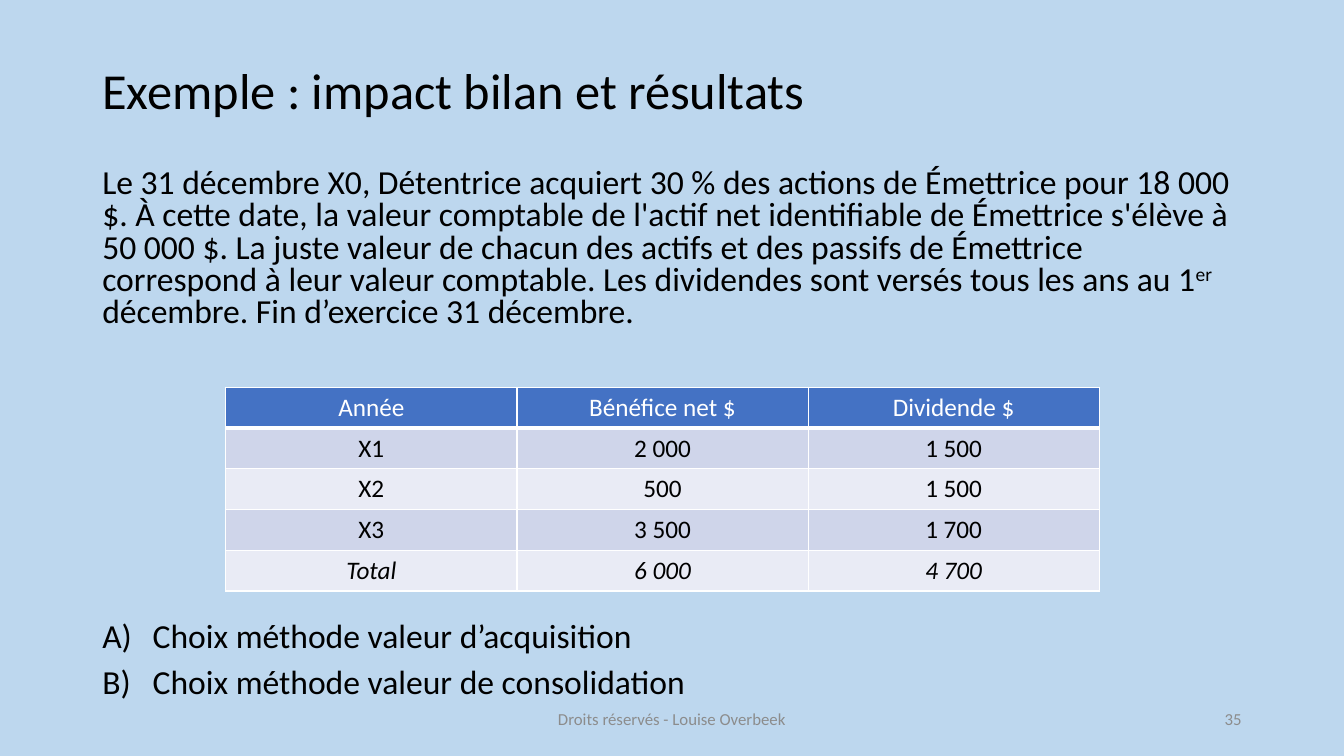
from lxml import etree
from pptx import Presentation
from pptx.dml.color import RGBColor
from pptx.enum.text import MSO_ANCHOR, PP_ALIGN
from pptx.oxml.ns import qn
from pptx.util import Pt

PX = 9525
LEFT, MID, RIGHT = PP_ALIGN.LEFT, PP_ALIGN.CENTER, PP_ALIGN.RIGHT
TOP, CENTER = MSO_ANCHOR.TOP, MSO_ANCHOR.MIDDLE
FONT = "Calibri"
BLACK, WHITE, GREY = "000000", "FFFFFF", "8C8C8C"
SKY, BLUE, BANDS = "BDD7EE", "4472C4", ("E9EBF5", "CFD5EA")

INTRO = (
    "Le 31 décembre X0, Détentrice acquiert 30 % des actions de Émettrice "
    "pour 18 000 $. À cette date, la valeur comptable de l'actif net "
    "identifiable de Émettrice s'élève à 50 000 $. La juste valeur de chacun "
    "des actifs et des passifs de Émettrice correspond à leur valeur "
    "comptable. Les dividendes sont versés tous les ans au 1"
)
ROWS = [
    ("Année", "Bénéfice net $", "Dividende $"),
    ("X1", "2 000", "1 500"),
    ("X2", "500", "1 500"),
    ("X3", "3 500", "1 700"),
    ("Total", "6 000", "4 700"),
]
CHOICES = [
    "Choix méthode valeur d’acquisition",
    "Choix méthode valeur de consolidation",
]


def color(code):
    return RGBColor.from_string(code)


def add_run(para, text, size, ink=BLACK):
    run = para.add_run()
    run.text = text
    font = run.font
    font.name, font.size = FONT, Pt(size)
    font.color.rgb = color(ink)
    return run


def add_box(slide, box, anchor=TOP):
    frame = slide.shapes.add_textbox(*(n * PX for n in box)).text_frame
    frame.word_wrap = True
    frame.vertical_anchor = anchor
    return frame


def add_line(slide, box, text, size, ink=BLACK, align=LEFT):
    para = add_box(slide, box, CENTER).paragraphs[0]
    para.alignment = align
    para.line_spacing = 0.9
    add_run(para, text, size, ink)


def add_intro(slide, box):
    para = add_box(slide, box).paragraphs[0]
    para.line_spacing = 0.8
    add_run(para, INTRO, 24)
    raised = add_run(para, "er", 24)
    raised.font._element.set("baseline", "30000")
    add_run(para, " décembre. Fin d’exercice 31 décembre.", 24)


def add_edges(cell, base):
    props = cell._tc.get_or_add_tcPr()
    widths = (("lnL", 1), ("lnR", 1), ("lnT", 1), ("lnB", base))
    for spot, (tag, width) in enumerate(widths):
        line = etree.Element(qn("a:" + tag), w=str(Pt(width)))
        fill = etree.SubElement(line, qn("a:solidFill"))
        etree.SubElement(fill, qn("a:srgbClr"), val=WHITE)
        props.insert(spot, line)


def add_grid(slide, box):
    size = len(ROWS), len(ROWS[0])
    table = slide.shapes.add_table(*size, *(n * PX for n in box)).table
    table.horz_banding = False
    for r, row in enumerate(ROWS):
        head = r == 0
        for c, text in enumerate(row):
            cell = table.cell(r, c)
            cell.fill.solid()
            cell.fill.fore_color.rgb = color(BLUE if head else BANDS[r % 2])
            add_edges(cell, 3 if head else 1)
            para = cell.text_frame.paragraphs[0]
            para.alignment = MID
            run = add_run(para, text, 18, WHITE if head else BLACK)
            run.font.bold = False
            run.font.italic = text == "Total" or r == len(ROWS) - 1


def add_list(slide, box):
    frame = add_box(slide, box)
    for i, text in enumerate(CHOICES):
        para = frame.add_paragraph() if i else frame.paragraphs[0]
        props = para._p.get_or_add_pPr()
        props.set("marL", str(48 * PX))
        props.set("indent", str(-48 * PX))
        etree.SubElement(props, qn("a:buFont"), typeface=FONT)
        etree.SubElement(props, qn("a:buAutoNum"), type="alphaUcParenR")
        para.line_spacing = 0.8
        if i:
            para.space_before = Pt(10)
        add_run(para, text, 24)


def main():
    deck = Presentation()
    deck.slide_width, deck.slide_height = 1280 * PX, 720 * PX
    slide = deck.slides.add_slide(deck.slide_layouts[6])
    slide.background.fill.solid()
    slide.background.fill.fore_color.rgb = color(SKY)
    add_line(slide, (88, 29, 1104, 120), "Exemple : impact bilan et résultats", 36)
    add_intro(slide, (88, 156, 1104, 170))
    add_grid(slide, (215, 369, 832, 194))
    add_list(slide, (88, 588, 1104, 90))
    add_line(slide, (424, 667, 432, 38), "Droits réservés - Louise Overbeek", 12, GREY, MID)
    add_line(slide, (904, 667, 288, 38), "35", 12, GREY, RIGHT)
    deck.save("out.pptx")


if __name__ == "__main__":
    main()
